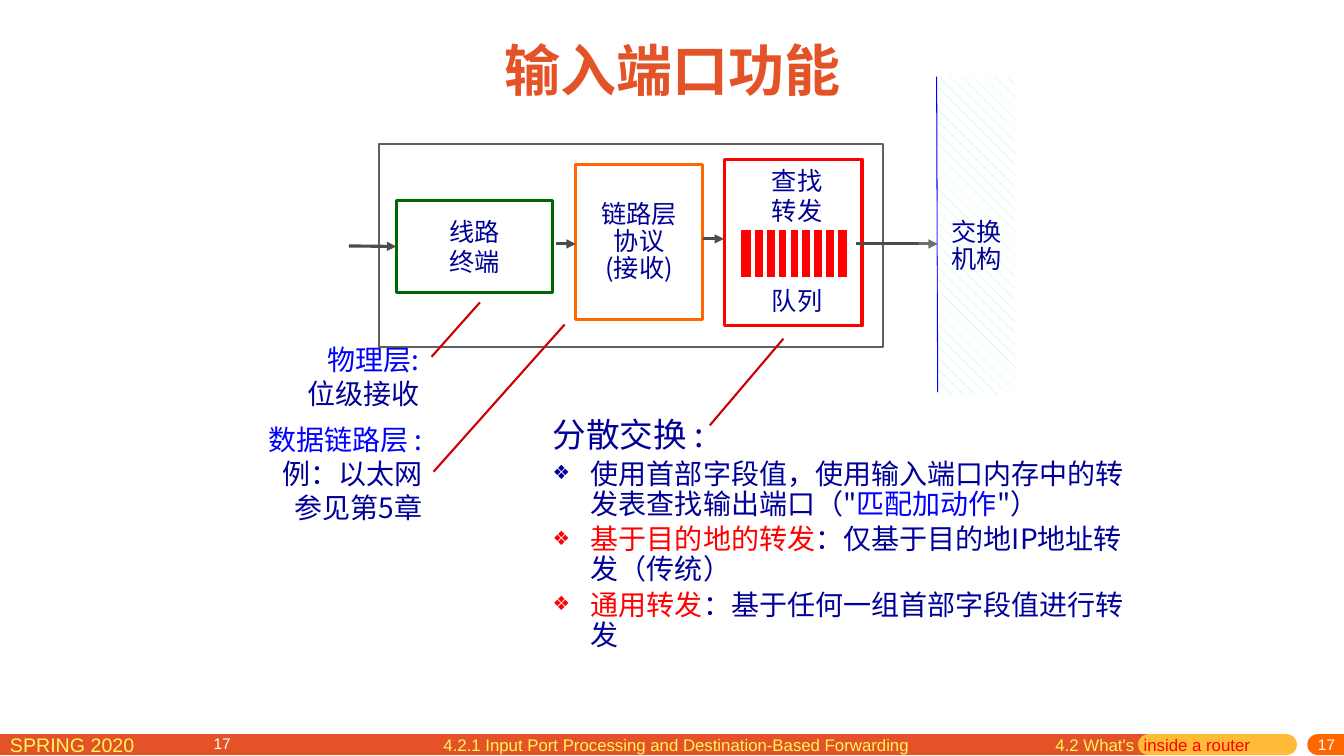
import pptx
import pptx.dml.color
import pptx.enum.dml
import pptx.enum.shapes
import pptx.enum.text
import pptx.oxml
import pptx.oxml.ns
import pptx.util

RGBColor = pptx.dml.color.RGBColor
ALIGN = pptx.enum.text.PP_ALIGN
ANCHOR = pptx.enum.text.MSO_ANCHOR
PX = 9144
ARIAL, NOTO = "Arial", "Noto Sans CJK SC"

WHITE = RGBColor(0xFF, 0xFF, 0xFF)
BRICK = RGBColor(0xE4, 0x53, 0x27)
AMBER = RGBColor(0xFF, 0xBA, 0x37)
ORANGE = RGBColor(0xFF, 0x66, 0x00)
LEMON = RGBColor(0xFF, 0xF6, 0x5C)
CYAN = RGBColor(0x98, 0xF1, 0xF4)
GRAY = RGBColor(0x5F, 0x5F, 0x5F)
DARK = RGBColor(0x4C, 0x4C, 0x4C)
GREEN = RGBColor(0x00, 0x66, 0x00)
RED = RGBColor(0xFF, 0x00, 0x00)
CRIMSON = RGBColor(0xCC, 0x00, 0x00)
NAVY = RGBColor(0x00, 0x00, 0x99)
BLUE = RGBColor(0x00, 0x00, 0xFF)

TITLE = "输入端口功能"
BODY_HEADING = "分散交换 :"
BULLETS = [
    [("使用首部字段值，使用输入端口内存中的转发表查找输出端口（\"", NAVY),
     ("匹配加动作", BLUE), ("\"）", NAVY)],
    [("基于目的地的转发", RED), ("：仅基于目的地IP地址转发（传统）", NAVY)],
    [("通用转发", RED), ("：基于任何一组首部字段值进行转发", NAVY)],
]
FOOTER_BARS = [(-18, 1139, BRICK), (1139, 1276, AMBER), (1307, 1360, ORANGE)]
FOOTER_TEXTS = [
    ((0, 722, 229, 31), [("SPRING 2020", LEMON)], 14),
    ((1037, 724, 220, 31), [("4.2 What's  ", LEMON), ("inside a router", RED)], 12),
    ((430, 724, 488, 31),
     [("4.2.1 Input Port Processing and Destination-Based Forwarding", LEMON)], 12),
]
PAGE_NUMBERS = [((1075, 732, 259, 18), ALIGN.RIGHT), ((202, 731, 259, 18), ALIGN.LEFT)]
BOXES = {
    "port": ((376, 143, 500, 201), GRAY, 1.5),
    "line": ((393, 199, 155, 91), GREEN, 2.25),
    "link": ((571, 163, 126, 154), ORANGE, 2.25),
    "lookup": ((719, 158, 136, 165), RED, 2.25),
}
LINE_LABEL = ["线路", "终端"]
LINK_LABEL = ["链路层", "协议", "(接收)"]
FABRIC_LABEL = ["交换", "机构"]
LOOKUP_LABEL = ["查找", "转发", "队列"]
LAYER_NOTES = [
    ((294, 334, 132, 77), ["物理层:", "位级接收"]),
    ((253, 414, 176, 111), ["数据链路层 :", "例：以太网", "参见第5章"]),
]
ARROWS = [(346, 244, 393, 244), (551, 242, 571, 242),
          (697, 237, 718, 237), (849, 242, 930, 242)]
POINTERS = [(428, 354, 476, 300), (430, 468, 560, 322), (704, 422, 777, 336)]
QUEUE = (733, 226, 109, 51)
QUEUE_CELLS = 9


def emu(values):
    return [round(value * PX) for value in values]


def append_xml(parent, tag, **attributes):
    element = pptx.oxml.parse_xml(f"<{tag} {pptx.oxml.ns.nsdecls('a')}/>")
    for key, value in attributes.items():
        element.set(key, value)
    parent.append(element)


def style(paragraph, size, color, face=NOTO, bold=None, align=None, pitch=None):
    paragraph.alignment = align
    if pitch:
        paragraph.line_spacing = pptx.util.Pt(pitch)
    font = paragraph.font
    font.size, font.bold = pptx.util.Pt(size), bold
    font.color.rgb = color
    font.name = face
    append_xml(paragraph._p.pPr.find(pptx.oxml.ns.qn("a:defRPr")), "a:ea", typeface=face)


def add_runs(paragraph, runs):
    for text, color in runs:
        run = paragraph.add_run()
        run.text = text
        run.font.color.rgb = color


def write_lines(shape, lines, size, pitch, align=ALIGN.CENTER, first_color=NAVY):
    frame = shape.text_frame
    frame.word_wrap = False
    frame.text = "\n".join(lines)
    for index, paragraph in enumerate(frame.paragraphs):
        style(paragraph, size, NAVY if index else first_color, align=align, pitch=pitch)
    return frame


def add_box(shapes, place, fill=WHITE, line=None, width=1):
    shape = shapes.add_shape(pptx.enum.shapes.MSO_SHAPE.RECTANGLE, *emu(place))
    shape.shadow.inherit = False
    shape.fill.solid()
    shape.fill.fore_color.rgb = fill
    if line is None:
        shape.line.fill.background()
    else:
        shape.line.color.rgb = line
        shape.line.width = pptx.util.Pt(width)
    shape.text_frame.vertical_anchor = ANCHOR.MIDDLE
    return shape


def add_line(shapes, ends, color, width, arrow=False, round_cap=False):
    line = shapes.add_connector(pptx.enum.shapes.MSO_CONNECTOR.STRAIGHT, *emu(ends))
    line.line.color.rgb = color
    line.line.width = pptx.util.Pt(width)
    outline = line.line._get_or_add_ln()
    if round_cap:
        outline.set("cap", "rnd")
    if arrow:
        append_xml(outline, "a:tailEnd", type="triangle")
    append_xml(line._element.spPr, "a:effectLst")
    return line


def add_footer(shapes):
    for left, right, color in FOOTER_BARS:
        add_line(shapes, (left, 739, right, 739), color, 15, round_cap=True)
    for place, runs, size in FOOTER_TEXTS:
        frame = shapes.add_textbox(*emu(place)).text_frame
        frame.word_wrap = True
        add_runs(frame.paragraphs[0], runs)
        style(frame.paragraphs[0], size, LEMON, ARIAL)
    for place, align in PAGE_NUMBERS:
        frame = shapes.add_textbox(*emu(place)).text_frame
        frame.word_wrap = True
        frame.vertical_anchor = ANCHOR.MIDDLE
        frame.margin_top = 0
        frame.text = "17"
        style(frame.paragraphs[0], 11, WHITE, ARIAL, align=align)


def add_queue(shapes):
    group = shapes.add_group_shape()
    left, top, width, height = QUEUE
    add_box(group.shapes, QUEUE, RED, WHITE, 3)
    for index in range(QUEUE_CELLS - 1):
        x = left + 14 + index * 11.7
        add_line(group.shapes, (x, top + 1, x, top + height - 1), WHITE, 3)


def add_diagram(shapes):
    fabric = add_box(shapes, (931, 76, 76, 315))
    fabric.fill.patterned()
    fabric.fill.pattern = pptx.enum.dml.MSO_PATTERN.SHINGLE
    fabric.fill.fore_color.rgb = CYAN
    fabric.fill.back_color.rgb = WHITE
    boxes = {name: add_box(shapes, place, WHITE, line, width)
             for name, (place, line, width) in BOXES.items()}
    write_lines(boxes["line"], LINE_LABEL, 18, 21.5)
    arrows = [add_line(shapes, ends, DARK, 2.25, arrow=True) for ends in ARROWS]
    arrows[0].end_connect(boxes["line"], 1)
    write_lines(boxes["link"], LINK_LABEL, 18, 19.3)
    for place, lines in LAYER_NOTES:
        write_lines(shapes.add_textbox(*emu(place)), lines, 20, 24.3, ALIGN.RIGHT, BLUE)
    add_line(shapes, (929, 76, 930, 389), BLUE, 0.75)
    label = add_box(shapes, (911, 199, 115, 91))
    color = label._element.spPr.find(".//" + pptx.oxml.ns.qn("a:srgbClr"))
    append_xml(color, "a:alpha", val="20000")
    write_lines(label, FABRIC_LABEL, 18, 19.3)
    add_queue(shapes)
    lookup = shapes.add_textbox(*emu((755, 159, 71, 162)))
    frame = write_lines(lookup, LOOKUP_LABEL, 18, 21.5)
    frame.paragraphs[-1].space_before = pptx.util.Pt(43)
    for ends in POINTERS:
        add_line(shapes, ends, CRIMSON, 1.5)


def fill_placeholders(title, body):
    title.left, title.top, title.width, title.height = emu((470, 35, 394, 67))
    body.left, body.top, body.width, body.height = emu((538, 410, 597, 292))
    title.text_frame.text = TITLE
    title.text_frame.vertical_anchor = ANCHOR.MIDDLE
    style(title.text_frame.paragraphs[0], 40, BRICK, bold=True, align=ALIGN.CENTER)
    frame = body.text_frame
    for text_frame in (title.text_frame, frame):
        text_frame.auto_size = pptx.enum.text.MSO_AUTO_SIZE.NONE
    for index, runs in enumerate([[(BODY_HEADING, NAVY)]] + BULLETS):
        paragraph = frame.add_paragraph() if index else frame.paragraphs[0]
        add_runs(paragraph, runs)
        paragraph.space_before = pptx.util.Pt(4 if index else 0)
        properties = paragraph._p.get_or_add_pPr()
        properties.set("marL", str(38 * PX))
        properties.set("indent", str(-38 * PX))
        if index:
            append_xml(properties, "a:buSzPct", val="70000")
            append_xml(properties, "a:buChar", char="❖")
        else:
            append_xml(properties, "a:buNone")
        style(paragraph, 20 if index else 24, NAVY, align=ALIGN.LEFT,
              pitch=21.4 if index else 25.7)


def main():
    presentation = pptx.Presentation()
    presentation.slide_width, presentation.slide_height = emu((1333, 750))
    slide = presentation.slides.add_slide(presentation.slide_layouts[1])
    fill_placeholders(*slide.placeholders)
    add_footer(slide.shapes)
    add_diagram(slide.shapes)
    presentation.save("out.pptx")


if __name__ == "__main__":
    main()
